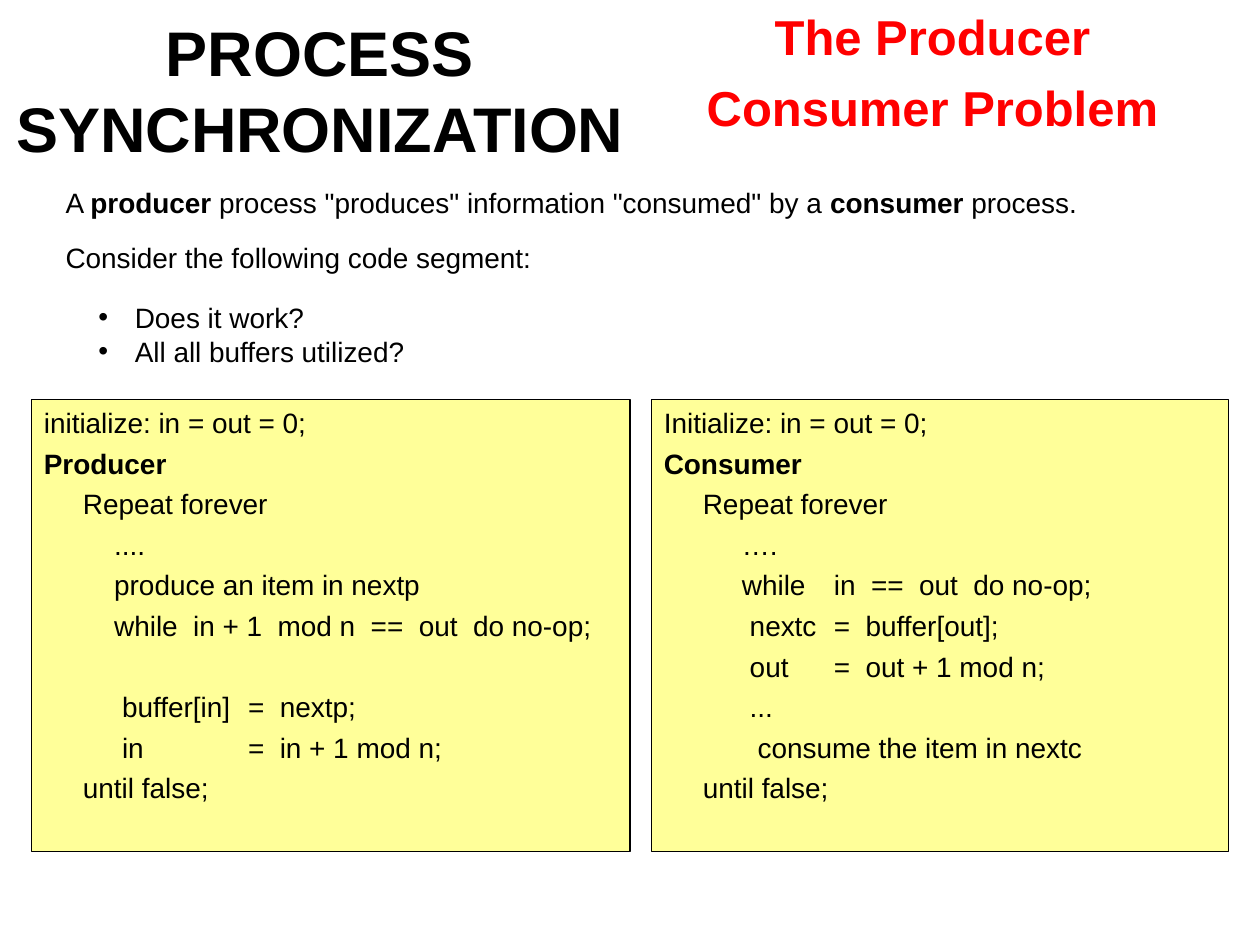
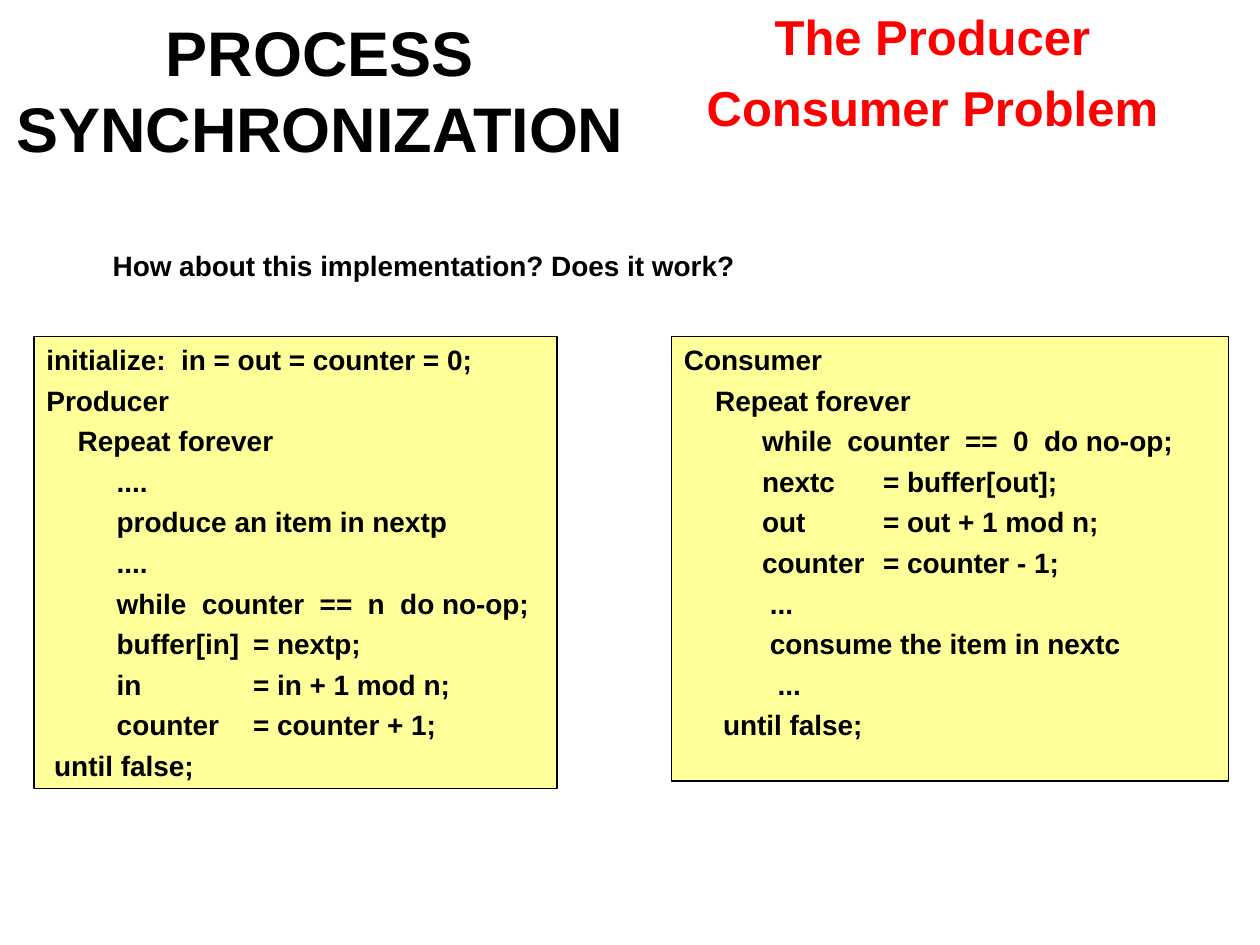
from dataclasses import dataclass

from lxml import etree
from pptx import Presentation
from pptx.dml.color import RGBColor
from pptx.enum.shapes import MSO_SHAPE
from pptx.enum.text import MSO_ANCHOR, MSO_AUTO_SIZE, PP_ALIGN
from pptx.oxml.ns import qn
from pptx.util import Inches, Pt

LEFT, CENTER = PP_ALIGN.LEFT, PP_ALIGN.CENTER
TOP, MIDDLE = MSO_ANCHOR.TOP, MSO_ANCHOR.MIDDLE
NO_AUTOFIT = MSO_AUTO_SIZE.NONE
RECTANGLE = MSO_SHAPE.RECTANGLE


@dataclass(frozen=True)
class Theme:
    font: str = "Arial"
    ink: RGBColor = RGBColor(0, 0, 0)
    topic: RGBColor = RGBColor(255, 0, 0)
    code_fill: RGBColor = RGBColor(255, 255, 153)
    title_size: int = 36
    topic_size: int = 28
    body_size: int = 16
    gap: int = 4
    topic_gap: int = 7
    blank_line: float = 23.2
    section_gap: float = 19.4
    indent_step: float = 0.062


THEME = Theme()


def style(paragraph, size, color=THEME.ink, bold=None, align=LEFT, before=0, spacing=None):
    paragraph.alignment = align
    paragraph.space_before = Pt(before)
    if spacing:
        paragraph.line_spacing = spacing
    font = paragraph.font
    font.name, font.size, font.bold = THEME.font, Pt(size), bold
    font.color.rgb = color


def place(shape, box, anchor=TOP, wrap=True):
    shape.left, shape.top, shape.width, shape.height = map(Inches, box)
    frame = shape.text_frame
    frame.auto_size = NO_AUTOFIT
    frame.word_wrap = wrap
    frame.vertical_anchor = anchor
    return frame


INTRO = [("A ", False), ("producer", True),
         (' process "produces" information "consumed" by a ', False),
         ("consumer", True), (" process.", False)]
QUESTIONS = ["Does it work?", "All all buffers utilized?"]
ROLES = ("Producer", "Consumer")

SLIDES = [
    {
        "body": (0.42, 1.42, 9.33, 1.58),
        "bold": False,
        "code": [
            ((0.25, 3.17, 4.75, 3.59), 1.62, [
                (0, "initialize: in = out = 0;"),
                (0, "Producer"),
                (5, "Repeat forever"),
                (9, "...."),
                (9, "produce an item in nextp"),
                (9, "while  in + 1  mod n  ==  out  do no-op;"),
                None,
                (10, "buffer[in]\t=  nextp;"),
                (10, "in\t=  in + 1 mod n;"),
                (5, "until false;"),
            ]),
            ((5.17, 3.17, 4.58, 3.59), 1.35, [
                (0, "Initialize: in = out = 0;"),
                (0, "Consumer"),
                (5, "Repeat forever"),
                (10, "…."),
                (10, "while\tin  ==  out  do no-op;"),
                (11, "nextc\t=  buffer[out];"),
                (11, "out\t=  out + 1 mod n;"),
                (11, "..."),
                (12, "consume the item in nextc"),
                (5, "until false;"),
            ]),
        ],
    },
    {
        "body": (0.67, 1.92, 8.75, 0.58),
        "bold": True,
        "code": [
            ((0.27, 2.67, 4.15, 3.59), 1.64, [
                (0, "initialize:  in = out = counter = 0;"),
                (0, "Producer"),
                (4, "Repeat forever"),
                (9, "...."),
                (9, "produce an item in nextp"),
                (9, "...."),
                (9, "while  counter  ==  n  do no-op;"),
                (9, "buffer[in]\t= nextp;"),
                (9, "in\t= in + 1 mod n;"),
                (9, "counter\t= counter + 1;"),
                (1, "until false;"),
            ]),
            ((5.33, 2.67, 4.42, 3.53), 1.58, [
                (0, "Consumer"),
                (4, "Repeat forever"),
                (10, "while  counter  ==  0  do no-op;"),
                (10, "nextc\t= buffer[out];"),
                (10, "out\t= out + 1 mod n;"),
                (10, "counter\t= counter - 1;"),
                (11, "..."),
                (11, "consume the item in nextc"),
                (12, "..."),
                (5, "until false;"),
            ]),
        ],
    },
]

deck = Presentation()
deck.slide_width, deck.slide_height = Inches(10), Inches(7.5)

for content in SLIDES:
    slide = deck.slides.add_slide(deck.slide_layouts[0])

    title = place(slide.shapes.title, (0, 0.25, 5.08, 0.92), MIDDLE)
    title.text = "PROCESS SYNCHRONIZATION"
    style(title.paragraphs[0], THEME.title_size, bold=True, align=CENTER)

    topic_box = (5.51, 0, 3.78, 1.13)
    topic = place(slide.shapes.add_textbox(*map(Inches, topic_box)), topic_box, wrap=False)
    topic.text = "The Producer\nConsumer Problem"
    for line in topic.paragraphs:
        style(line, THEME.topic_size, THEME.topic, True, CENTER, THEME.topic_gap)

    body = place(slide.placeholders[1], content["body"])
    opening = body.paragraphs[0]
    if content["bold"]:
        opening.text = "How about this implementation? Does it work?"
        opening._p.get_or_add_pPr().set("indent", str(Inches(2 * THEME.indent_step)))
        style(opening, THEME.body_size, bold=True, before=THEME.gap)
    else:
        for words, emphasis in INTRO:
            run = opening.add_run()
            run.text = words
            run.font.bold = emphasis
        style(opening, THEME.body_size, before=THEME.gap)
        lead = body.add_paragraph()
        lead.text = "Consider the following code segment:"
        style(lead, THEME.body_size, before=THEME.section_gap, spacing=0.6)
        for number, words in enumerate(QUESTIONS):
            question = body.add_paragraph()
            question.text = words
            question.level = 1
            properties = question._p.get_or_add_pPr()
            properties.set("marL", str(Inches(0.55)))
            properties.set("indent", str(Inches(-0.29)))
            etree.SubElement(properties, qn("a:buChar"), char="•")
            before = THEME.gap if number else THEME.section_gap
            style(question, THEME.body_size, before=before, spacing=0.8)

    for box, column, lines in content["code"]:
        panel = slide.shapes.add_shape(RECTANGLE, *map(Inches, box))
        panel.shadow.inherit = False
        panel.fill.solid()
        panel.fill.fore_color.rgb = THEME.code_fill
        panel.line.color.rgb = THEME.ink
        panel.line.width = Pt(0.75)
        code = place(panel, box)
        before = THEME.gap
        for number, line in enumerate(lines):
            if line is None:
                before += THEME.blank_line
                continue
            depth, words = line
            statement = code.add_paragraph() if number else code.paragraphs[0]
            statement.text = words
            properties = statement._p.get_or_add_pPr()
            properties.set("indent", str(Inches(depth * THEME.indent_step)))
            if "\t" in words:
                properties.set("defTabSz", str(Inches(column)))
                stops = etree.SubElement(properties, qn("a:tabLst"))
                etree.SubElement(stops, qn("a:tab"), pos=str(Inches(column)), algn="l")
            style(statement, THEME.body_size, bold=content["bold"] or words in ROLES, before=before)
            before = THEME.gap

deck.save("out.pptx")
